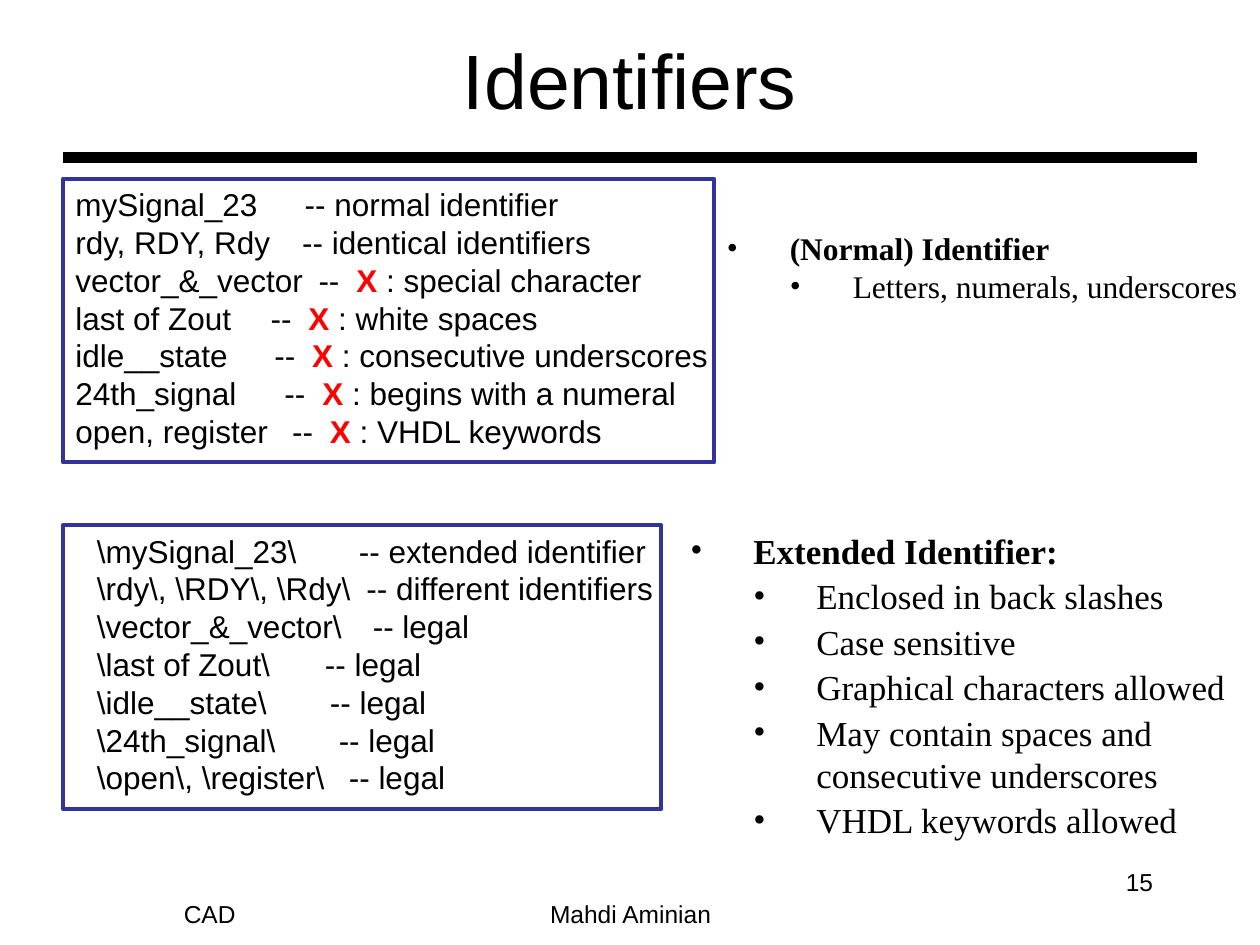
from dataclasses import dataclass

from lxml import etree
from pptx import Presentation
from pptx import util as u
from pptx.dml.color import RGBColor
from pptx.enum import shapes, text
from pptx.oxml import ns

COLORS = {"text": "000000", "frame": "333399", "illegal": "FF0000"}
SANS, SERIF = "Arial", "Times New Roman"
INSET = 0.1
MARK_GAP = 0.3
LINE_RATIO = 1.2
BULLET_INDENT = 0.5


@dataclass
class Label:
    content: str
    box: tuple[float, float, float, float]
    size: float = 14
    align: text.PP_ALIGN = text.PP_ALIGN.CENTER
    anchor: text.MSO_ANCHOR = text.MSO_ANCHOR.MIDDLE


@dataclass
class CodeLine:
    code: str
    comment_at: float
    comment: str
    illegal: bool = False


@dataclass
class CodePanel:
    frame: tuple[float, float, float, float]
    text_left: float
    lines: list[CodeLine]


@dataclass
class BulletList:
    box: tuple[float, float, float, float]
    size: float
    space_before: float
    heading: str
    items: list[str]


LABELS = [
    Label("Identifiers", (0.75, 0, 8.5, 1.25), size=44),
    Label("CAD", (0.08, 7, 3.17, 0.5)),
    Label("Mahdi Aminian", (3.42, 7, 3.17, 0.5)),
    Label("15", (8.58, 6.83, 0.67, 0.5), align=text.PP_ALIGN.RIGHT,
          anchor=text.MSO_ANCHOR.TOP),
]

PANELS = [
    CodePanel((0.5, 1.42, 5.17, 2.25), 0.6, [
        CodeLine("mySignal_23", 1.82, "normal identifier"),
        CodeLine("rdy, RDY, Rdy", 1.8, "identical identifiers"),
        CodeLine("vector_&_vector", 1.93, "special character", True),
        CodeLine("last of Zout", 1.55, "white spaces", True),
        CodeLine("idle__state", 1.58, "consecutive underscores", True),
        CodeLine("24th_signal", 1.66, "begins with a numeral", True),
        CodeLine("open, register", 1.72, "VHDL keywords", True),
    ]),
    CodePanel((0.5, 4.17, 4.75, 2.25), 0.77, [
        CodeLine("\\mySignal_23\\", 2.08, "extended identifier"),
        CodeLine("\\rdy\\, \\RDY\\, \\Rdy\\", 2.14, "different identifiers"),
        CodeLine("\\vector_&_vector\\", 2.19, "legal"),
        CodeLine("\\last of Zout\\", 1.81, "legal"),
        CodeLine("\\idle__state\\", 1.85, "legal"),
        CodeLine("\\24th_signal\\", 1.92, "legal"),
        CodeLine("\\open\\, \\register\\", 2, "legal"),
    ]),
]

BULLET_LISTS = [
    BulletList((5.67, 1.77, 4.33, 0.85), 18, 0, "(Normal) Identifier",
               ["Letters, numerals, underscores"]),
    BulletList((5.38, 4.15, 4.62, 2.6), 20, 2, "Extended Identifier:", [
        "Enclosed in back slashes",
        "Case sensitive",
        "Graphical characters allowed",
        "May contain spaces and\nconsecutive underscores",
        "VHDL keywords allowed",
    ]),
]


def inches(box):
    return [u.Inches(length) for length in box]


def add_text_frame(slide, box):
    frame = slide.shapes.add_textbox(*inches(box)).text_frame
    frame.word_wrap = True
    return frame


def next_paragraph(frame, index: int):
    return frame.add_paragraph() if index else frame.paragraphs[0]


def add_run(paragraph, content: str, size: float, font=SANS, color="text", bold=False):
    run = paragraph.add_run()
    run.text = content
    run.font.name = font
    run.font.size = u.Pt(size)
    run.font.bold = bold
    run.font.color.rgb = RGBColor.from_string(COLORS[color])


def add_bullet(paragraph, level: int):
    properties = paragraph._p.get_or_add_pPr()
    properties.set("marL", str(u.Inches(BULLET_INDENT * (level + 1))))
    properties.set("indent", str(u.Inches(-BULLET_INDENT)))
    etree.SubElement(properties, ns.qn("a:buFont"), typeface=SERIF)
    etree.SubElement(properties, ns.qn("a:buChar"), char="•")


def add_tab_stops(paragraph, positions: list[float]):
    tabs = etree.SubElement(paragraph._p.get_or_add_pPr(), ns.qn("a:tabLst"))
    for position in positions:
        etree.SubElement(tabs, ns.qn("a:tab"), pos=str(u.Inches(position)), algn="l")


def draw_rule(slide):
    rule = slide.shapes.add_connector(
        shapes.MSO_CONNECTOR.STRAIGHT, *inches((0.5, 1.25, 9.5, 1.25)))
    rule.line.color.rgb = RGBColor.from_string(COLORS["text"])
    rule.line.width = u.Pt(6)
    etree.SubElement(rule._element.spPr, ns.qn("a:effectLst"))


def draw_label(slide, label: Label):
    frame = add_text_frame(slide, label.box)
    frame.vertical_anchor = label.anchor
    paragraph = frame.paragraphs[0]
    paragraph.alignment = label.align
    add_run(paragraph, label.content, label.size)


def draw_panel(slide, panel: CodePanel, size: float = 18):
    left, top, width, height = panel.frame
    border = slide.shapes.add_shape(shapes.MSO_SHAPE.RECTANGLE, *inches(panel.frame))
    border.shadow.inherit = False
    border.fill.background()
    border.line.color.rgb = RGBColor.from_string(COLORS["frame"])
    border.line.width = u.Pt(2.25)

    frame = add_text_frame(
        slide, (panel.text_left - INSET, top, left + width - panel.text_left + 0.2, height))
    for index, line in enumerate(panel.lines):
        paragraph = next_paragraph(frame, index)
        paragraph.line_spacing = u.Pt(size * LINE_RATIO)
        add_tab_stops(paragraph, [line.comment_at, line.comment_at + MARK_GAP])
        if line.illegal:
            add_run(paragraph, f"{line.code}\t--\t", size)
            add_run(paragraph, "X", size, color="illegal", bold=True)
            add_run(paragraph, f" : {line.comment}", size)
        else:
            add_run(paragraph, f"{line.code}\t-- {line.comment}", size)


def draw_bullets(slide, bullets: BulletList):
    frame = add_text_frame(slide, bullets.box)
    for index, item in enumerate([bullets.heading, *bullets.items]):
        paragraph = next_paragraph(frame, index)
        level = 1 if index else 0
        paragraph.level = level
        add_bullet(paragraph, level)
        paragraph.line_spacing = u.Pt(bullets.size * LINE_RATIO)
        paragraph.space_before = u.Pt(bullets.space_before if index else 0)
        for row, content in enumerate(item.split("\n")):
            if row:
                paragraph.add_line_break()
            add_run(paragraph, content, bullets.size, SERIF, bold=index == 0)


def main():
    presentation = Presentation()
    presentation.slide_width, presentation.slide_height = u.Inches(10), u.Inches(7.5)
    slide = presentation.slides.add_slide(presentation.slide_layouts[6])
    draw_rule(slide)
    for label in LABELS:
        draw_label(slide, label)
    for panel in PANELS:
        draw_panel(slide, panel)
    for bullets in BULLET_LISTS:
        draw_bullets(slide, bullets)
    presentation.save("out.pptx")


if __name__ == "__main__":
    main()
